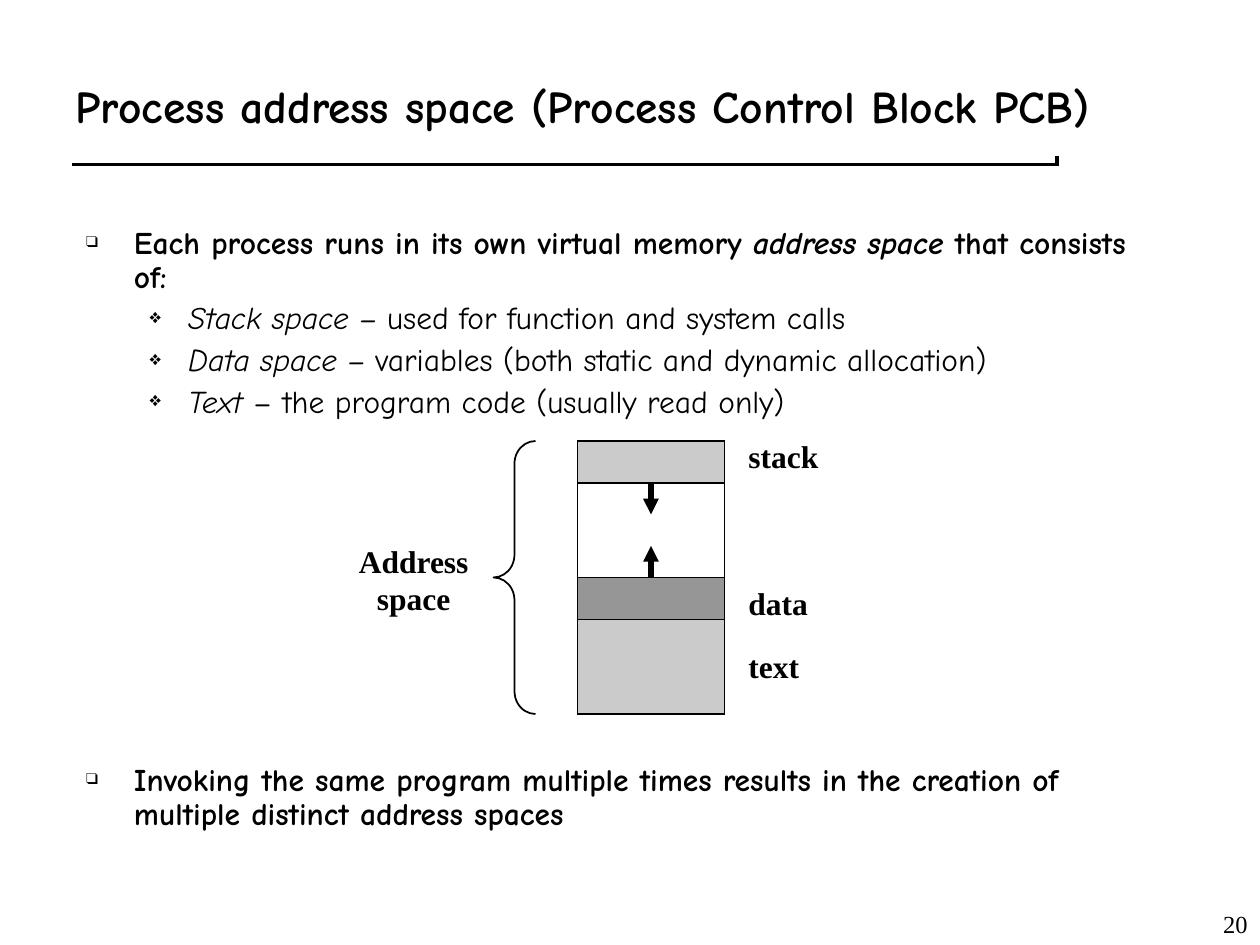
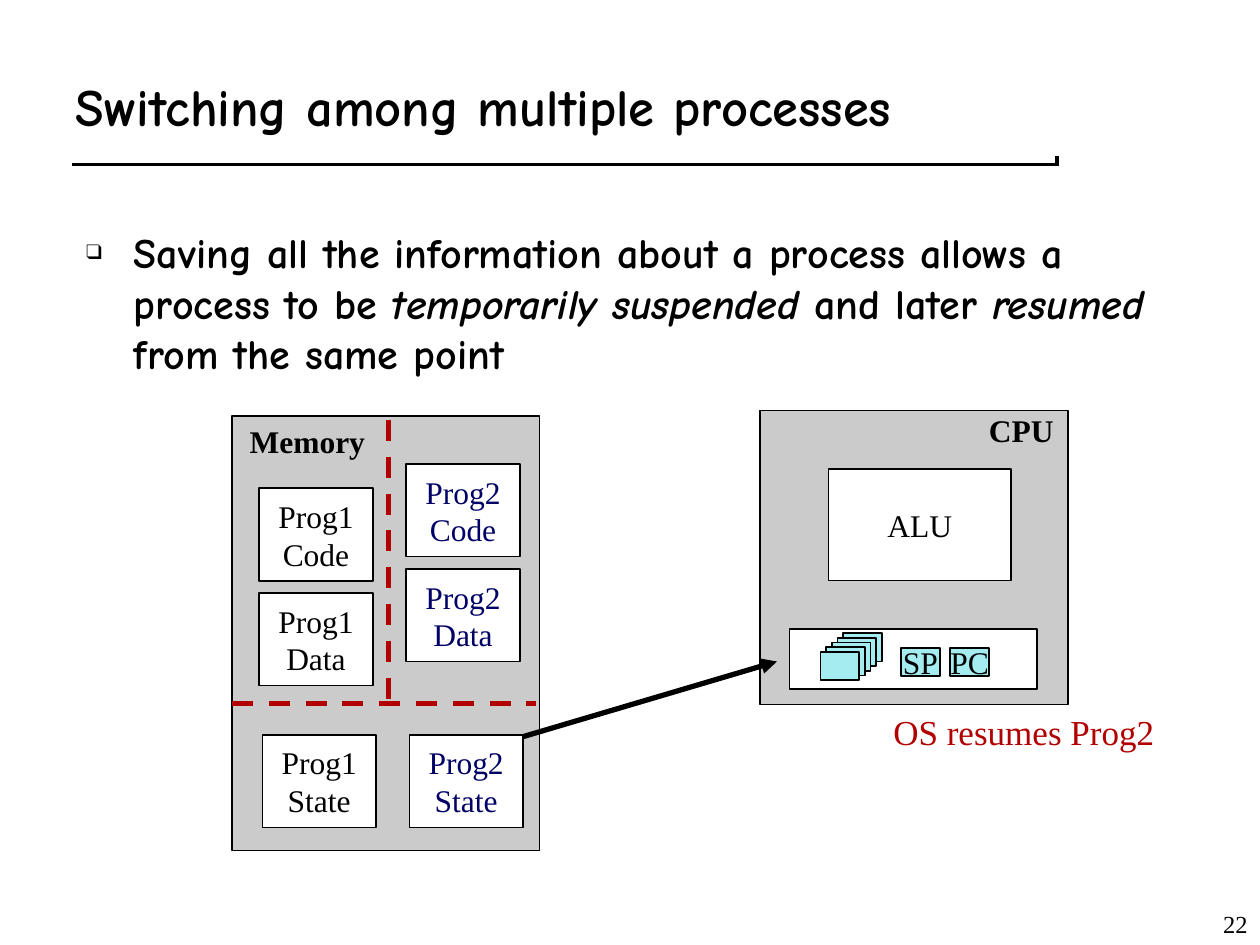
from dataclasses import dataclass

from lxml.etree import SubElement
from pptx import Presentation
from pptx.dml.color import RGBColor
from pptx.enum.dml import MSO_LINE
from pptx.enum.shapes import MSO_CONNECTOR, MSO_SHAPE
from pptx.enum.text import MSO_ANCHOR, MSO_AUTO_SIZE, PP_ALIGN
from pptx.oxml.ns import qn
from pptx.util import Inches, Pt

BLACK = RGBColor(0x00, 0x00, 0x00)
WHITE = RGBColor(0xFF, 0xFF, 0xFF)
LIGHT_GRAY = RGBColor(0xCB, 0xCB, 0xCB)
MID_GRAY = RGBColor(0x96, 0x96, 0x96)
NAVY = RGBColor(0x00, 0x00, 0x66)
RED = RGBColor(0xB2, 0x00, 0x00)
CYAN = RGBColor(0xA5, 0xEC, 0xF1)

HEADING_FONT = "Comic Neue"
LABEL_FONT = "Times New Roman"
BULLETS = [("❑", 0.38, 0.38), ("❖", 0.81, 0.31)]
CELLS_PER_INCH = 12
COLUMNS, ROWS = 120, 90


def cells(count):
    """Convert grid cells to a length."""
    return Inches(count / CELLS_PER_INCH)


@dataclass
class Box:
    """A rectangle measured in grid cells."""

    left: float
    top: float
    width: float
    height: float

    def inner(self, across, down, width, height):
        """Return a box offset from this box's corner."""
        return Box(self.left + across, self.top + down, width, height)

    def point(self, across, down):
        """Return a point offset from this box's corner."""
        return self.left + across, self.top + down

    def lengths(self):
        """Return the four lengths used to place a shape."""
        return [cells(n) for n in (self.left, self.top, self.width, self.height)]


def style_font(font, size, color=BLACK, bold=False, name=LABEL_FONT):
    """Set the font of a paragraph."""
    font.name, font.size, font.bold = name, Pt(size), bold
    font.color.rgb = color


def write(frame, text, size=18, color=BLACK, bold=False, align=PP_ALIGN.LEFT):
    """Write label lines into a text frame."""
    frame.text = text
    for para in frame.paragraphs:
        para.alignment = align
        style_font(para.font, size, color, bold)


def add_label(page, box, text, size=18, color=BLACK, bold=True,
              align=PP_ALIGN.LEFT, anchor=MSO_ANCHOR.TOP):
    """Add a free-standing label."""
    frame = page.shapes.add_textbox(*box.lengths()).text_frame
    frame.word_wrap = True
    frame.vertical_anchor = anchor
    write(frame, text, size, color, bold, align)


def add_block(page, box, fill=WHITE, text="", color=BLACK, preset=MSO_SHAPE.RECTANGLE):
    """Add an outlined shape with optional centred text."""
    block = page.shapes.add_shape(preset, *box.lengths())
    block.shadow.inherit = False
    if fill is None:
        block.fill.background()
    else:
        block.fill.solid()
        block.fill.fore_color.rgb = fill
    block.line.color.rgb = BLACK
    block.line.width = Pt(1)
    if text:
        block.text_frame.word_wrap = False
        block.text_frame.vertical_anchor = MSO_ANCHOR.MIDDLE
        write(block.text_frame, text, color=color, align=PP_ALIGN.CENTER)
    return block


def add_line(page, start, end, color=BLACK, width=3, dash=None, arrow=False, cap="flat"):
    """Add a straight line, with an arrowhead at its end if asked."""
    line = page.shapes.add_connector(
        MSO_CONNECTOR.STRAIGHT, *[cells(n) for n in (*start, *end)])
    line.line.color.rgb = color
    line.line.width = Pt(width)
    if dash:
        line.line.dash_style = dash
    properties = line._element.spPr
    outline = properties.find(qn("a:ln"))
    outline.set("cap", cap)
    if arrow:
        SubElement(outline, qn("a:tailEnd"), type="triangle")
    SubElement(properties, qn("a:effectLst"))
    return line


def place(placeholder, box):
    """Move a placeholder and return its text frame."""
    placeholder.left, placeholder.top, placeholder.width, placeholder.height = box.lengths()
    frame = placeholder.text_frame
    frame.auto_size = MSO_AUTO_SIZE.NONE
    return frame


def add_page(deck, title, title_size, number):
    """Add a page with its title, rule and page number."""
    page = deck.slides.add_slide(deck.slide_layouts[1])
    for offset, color in ((0.35, BLACK), (0, WHITE)):
        add_line(page, (7 + offset, 15 + offset), (100 + offset, 15 + offset),
                 color, width=6, cap="sq")
    add_label(page, Box(COLUMNS - 25, ROWS - 6, 25, 6), str(number), 14, bold=False,
              align=PP_ALIGN.RIGHT, anchor=MSO_ANCHOR.BOTTOM)
    frame = place(page.shapes.title, Box(6, 4, 103, 12))
    frame.vertical_anchor = MSO_ANCHOR.MIDDLE
    frame.text = title
    para = frame.paragraphs[0]
    para.alignment = PP_ALIGN.LEFT
    style_font(para.font, title_size, bold=True, name=HEADING_FONT)
    return page


def format_bullet(para, level):
    """Give a paragraph the bullet and indent of its level."""
    symbol, margin, hanging = BULLETS[level]
    para.level = level
    properties = para._p.get_or_add_pPr()
    properties.set("marL", str(Inches(margin)))
    properties.set("indent", str(-Inches(hanging)))
    bullet_color = SubElement(properties, qn("a:buClr"))
    SubElement(bullet_color, qn("a:srgbClr"), val=str(BLACK))
    SubElement(properties, qn("a:buSzPct"), val="50000")
    SubElement(properties, qn("a:buFont"), typeface=LABEL_FONT)
    SubElement(properties, qn("a:buChar"), char=symbol)


def fill_body(page, box, items, size, spacing=1.0):
    """Write (level, space before, text) items, with *italic* parts."""
    frame = place(page.placeholders[1], box)
    for index, (level, before, text) in enumerate(items):
        para = frame.add_paragraph() if index else frame.paragraphs[0]
        format_bullet(para, level)
        para.line_spacing = spacing
        para.space_before = Pt(before)
        style_font(para.font, size, bold=level == 0, name=HEADING_FONT)
        for position, part in enumerate(text.split("*")):
            if part:
                span = para.add_run()
                span.text = part
                span.font.italic = position % 2 == 1


def draw_address_space(page, box):
    """Draw the stacked segments with labels, growth arrows and brace."""
    add_block(page, box)
    segments = {}
    for name, down, height, fill, label_down in (
            ("text", 17, 9, LIGHT_GRAY, 19), ("data", 13, 4, MID_GRAY, 13),
            ("stack", 0, 4, LIGHT_GRAY, -1)):
        segments[name] = add_block(page, box.inner(0, down, box.width, height), fill)
        add_label(page, box.inner(box.width + 1.1, label_down, 10, 4.8), name)
    middle = box.width / 2
    for name, site, start, end in (("stack", 2, 4, 7), ("data", 0, 13, 10)):
        arrow = add_line(page, box.point(middle, start), box.point(middle, end), arrow=True)
        arrow.begin_connect(segments[name], site)
    brace = add_block(page, box.inner(-8, 0, 4, box.height), None,
                      preset=MSO_SHAPE.LEFT_BRACE)
    brace.adjustments[0] = 0.54
    add_label(page, box.inner(-22.6, 9, 14, 8.4), "Address\nspace", align=PP_ALIGN.CENTER)


def draw_cpu(page, box):
    """Draw the processor with its arithmetic unit and registers."""
    add_block(page, box, LIGHT_GRAY)
    add_label(page, box.inner(20.6, -0.5, 8.9, 4.8), "CPU")
    add_block(page, box.inner(2.8, 20.8, 23.6, 5.7))
    add_block(page, box.inner(6.5, 5.6, 17.4, 10.6), text="ALU")
    for index in range(5):
        add_block(page, box.inner(7.9 - 0.54 * index, 21.2 + 0.45 * index, 3.7, 2.7), CYAN)
    for across, name in ((13.4, "SP"), (18.1, "PC")):
        add_block(page, box.inner(across, 22.6, 3.7, 2.7), CYAN, name)
    add_label(page, box.inner(11.5, box.height, 29, 5.3), "OS resumes Prog2", 20, RED, False)


def draw_memory(page, box):
    """Draw the memory with the code and data of both programs."""
    add_block(page, box, LIGHT_GRAY)
    add_label(page, box.inner(0.5, 0, 14.6, 4.8), "Memory")
    for start, end in (((0, 27.4), (28.9, 27.4)), ((14.9, 0.4), (14.9, 27.4))):
        add_line(page, box.point(*start), box.point(*end), RED, dash=MSO_LINE.DASH)
    for program, across, down, color in (("Prog1", 2.6, 6.9, BLACK), ("Prog2", 16.6, 4.6, NAVY)):
        for row, part in enumerate(("Code", "Data")):
            add_block(page, box.inner(across, down + 10 * row, 10.8, 8.8),
                      text=f"{program}\n{part}", color=color)


def draw_saved_states(page, box):
    """Draw the saved state of both programs at the foot of the memory."""
    for program, across, color in (("Prog1", 2.9, BLACK), ("Prog2", 16.9, NAVY)):
        add_block(page, box.inner(across, 30.4, 10.8, 8.8), text=f"{program}\nState", color=color)


def build_address_space_page(deck):
    """Build the page on the process address space."""
    page = add_page(deck, "Process address space (Process Control Block PCB)", 26, 20)
    fill_body(page, Box(7, 21, 102, 59), [
        (0, 0, "Each process runs in its own virtual memory *address space* that consists of:"),
        (1, 4.5, "*Stack space – *used for function and system calls"),
        (1, 4.5, "*Data space – *variables (both static and dynamic allocation)"),
        (1, 4.5, "*Text* – the program code (usually read only)"),
        (0, 196.5, "Invoking the same program multiple times results in the creation of "
                   "multiple distinct address spaces"),
    ], 18, 0.9)
    draw_address_space(page, Box(55, 42, 14, 26))


def build_switching_page(deck):
    """Build the page on switching among processes."""
    page = add_page(deck, "Switching among multiple processes", 30, 22)
    fill_body(page, Box(7, 21, 108, 60), [
        (0, 0, "Saving all the information about a process allows a process to be "
               "*temporarily suspended *and later* resumed *from the same point"),
    ], 24)
    memory = Box(22.1, 39.6, 29.3, 41.4)
    draw_cpu(page, Box(72.4, 39.1, 29.3, 28))
    draw_memory(page, memory)
    add_line(page, (49, 70.4), (74, 63), arrow=True)
    draw_saved_states(page, memory)


def main():
    """Build and save the deck."""
    deck = Presentation()
    deck.slide_width, deck.slide_height = cells(COLUMNS), cells(ROWS)
    build_address_space_page(deck)
    build_switching_page(deck)
    deck.save("out.pptx")


if __name__ == "__main__":
    main()
